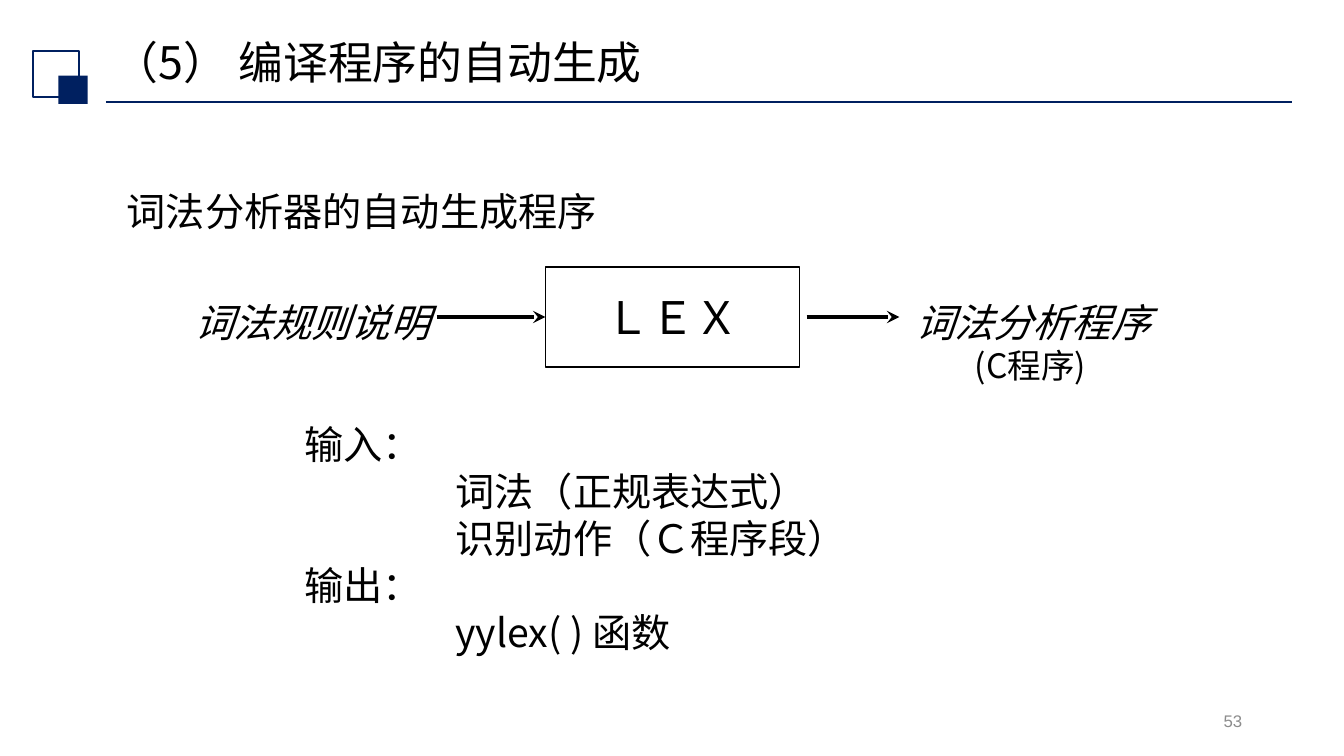
from lxml import etree
from pptx import Presentation
from pptx.dml.color import RGBColor
from pptx.enum.shapes import MSO_CONNECTOR, MSO_SHAPE
from pptx.enum.text import MSO_ANCHOR, PP_ALIGN
from pptx.oxml.ns import qn
from pptx.util import Inches, Pt

RECT, STRAIGHT = MSO_SHAPE.RECTANGLE, MSO_CONNECTOR.STRAIGHT
TOP, MIDDLE = MSO_ANCHOR.TOP, MSO_ANCHOR.MIDDLE
LEFT, CENTER, RIGHT = PP_ALIGN.LEFT, PP_ALIGN.CENTER, PP_ALIGN.RIGHT
NAVY, BLACK, GREY = "002060", "000000", "8C8C8C"
CJK = "Noto Sans CJK SC"

# Content: text, box (left, top, width, height), format
LABELS = [
    ("（5） 编译程序的自动生成", (1.03, 0.34, 11.5, 0.61),
     dict(size=32, anchor=MIDDLE, spacing=0.9)),
    ("词法分析器的自动生成程序", (1.16, 1.58, 10.7, 4.51),
     dict(spacing=1.5, before=10)),
    ("词法规则说明", (1.83, 2.91, 3.44, 0.57), dict(italic=True)),
    ("词法分析程序", (8.98, 2.91, 2.68, 0.57), dict(italic=True)),
    ("(C程序)", (9.57, 3.37, 1.67, 0.51), dict(size=24)),
    ("53", (9.42, 6.95, 3, 0.4),
     dict(size=12, font="Arial", color=GREY, align=RIGHT, anchor=MIDDLE)),
]
TOOL, TOOL_BOX = "ＬＥＸ", (5.41, 2.65, 2.52, 0.99)
INPUT_START, OUTPUT_START, OUTPUT_END = 4.33, 8, 8.92
IN_OUT = [
    ("输入：", ["词法（正规表达式）", "识别动作（Ｃ程序段）"]),
    ("输出：", ["yylex( ) 函数"]),
]
IN_OUT_BOX, ITEM_INDENT = (2.92, 4.12, 6.02, 2.44), 1.5

prs = Presentation()
prs.slide_width, prs.slide_height = Inches(13.33), Inches(7.5)
slide = prs.slides.add_slide(prs.slide_layouts[6])
shapes = slide.shapes


def rgb(color):
    return RGBColor.from_string(color)


def write(paragraph, text, size=28, font=CJK, color=BLACK, italic=False,
          align=LEFT, spacing=None, before=0, indent=0):
    paragraph.alignment = align
    paragraph.line_spacing = spacing
    paragraph.space_before = Pt(before)
    if indent:
        paragraph._p.get_or_add_pPr().set("marL", str(Inches(indent)))
    run = paragraph.add_run()
    run.text = text
    run.font.size, run.font.name, run.font.italic = Pt(size), font, italic
    run.font.color.rgb = rgb(color)
    etree.SubElement(run._r.rPr, qn("a:ea"), typeface=font)


def text_frame(box, anchor=TOP):
    frame = shapes.add_textbox(*map(Inches, box)).text_frame
    frame.word_wrap = True
    frame.vertical_anchor = anchor
    return frame


def rectangle(box, fill=None, line=None, width=1):
    rect = shapes.add_shape(RECT, *map(Inches, box))
    rect.shadow.inherit = False
    if fill:
        rect.fill.solid()
        rect.fill.fore_color.rgb = rgb(fill)
    else:
        rect.fill.background()
    if line:
        rect.line.color.rgb = rgb(line)
        rect.line.width = Pt(width)
    else:
        rect.line.fill.background()
    return rect


def rule(x1, x2, y, color, width, arrow=False):
    line = shapes.add_connector(STRAIGHT, *map(Inches, (x1, y, x2, y)))
    line.line.color.rgb = rgb(color)
    line.line.width = Pt(width)
    if arrow:
        etree.SubElement(line.line._get_or_add_ln(), qn("a:tailEnd"), type="stealth")
    etree.SubElement(line._element.spPr, qn("a:effectLst"))
    return line


# Header decoration
rule(1.05, 12.81, 1.01, NAVY, 1.25)
rectangle((0.33, 0.51, 0.45, 0.45), line=NAVY, width=1.5)
rectangle((0.58, 0.75, 0.29, 0.28), fill=NAVY)

# Title, labels and page number
for text, box, style in LABELS:
    style = dict(style)
    frame = text_frame(box, style.pop("anchor", TOP))
    write(frame.paragraphs[0], text, **style)

# Generator box with its input and output arrows
tool = rectangle(TOOL_BOX, line=BLACK)
tool.text_frame.word_wrap = False
tool.text_frame.vertical_anchor = MIDDLE
write(tool.text_frame.paragraphs[0], TOOL, size=32, align=CENTER)
left, top, width, height = TOOL_BOX
flow_y = top + height / 2
input_arrow = rule(INPUT_START, left, flow_y, BLACK, 3, arrow=True)
input_arrow.end_connect(tool, 1)
rule(OUTPUT_START, OUTPUT_END, flow_y, BLACK, 3, arrow=True)

# Input and output list
lines = [(text, indent) for heading, items in IN_OUT
         for text, indent in [(heading, 0)] + [(item, ITEM_INDENT) for item in items]]
frame = text_frame(IN_OUT_BOX)
for i, (text, indent) in enumerate(lines):
    paragraph = frame.add_paragraph() if i else frame.paragraphs[0]
    write(paragraph, text, indent=indent)

prs.save("out.pptx")
